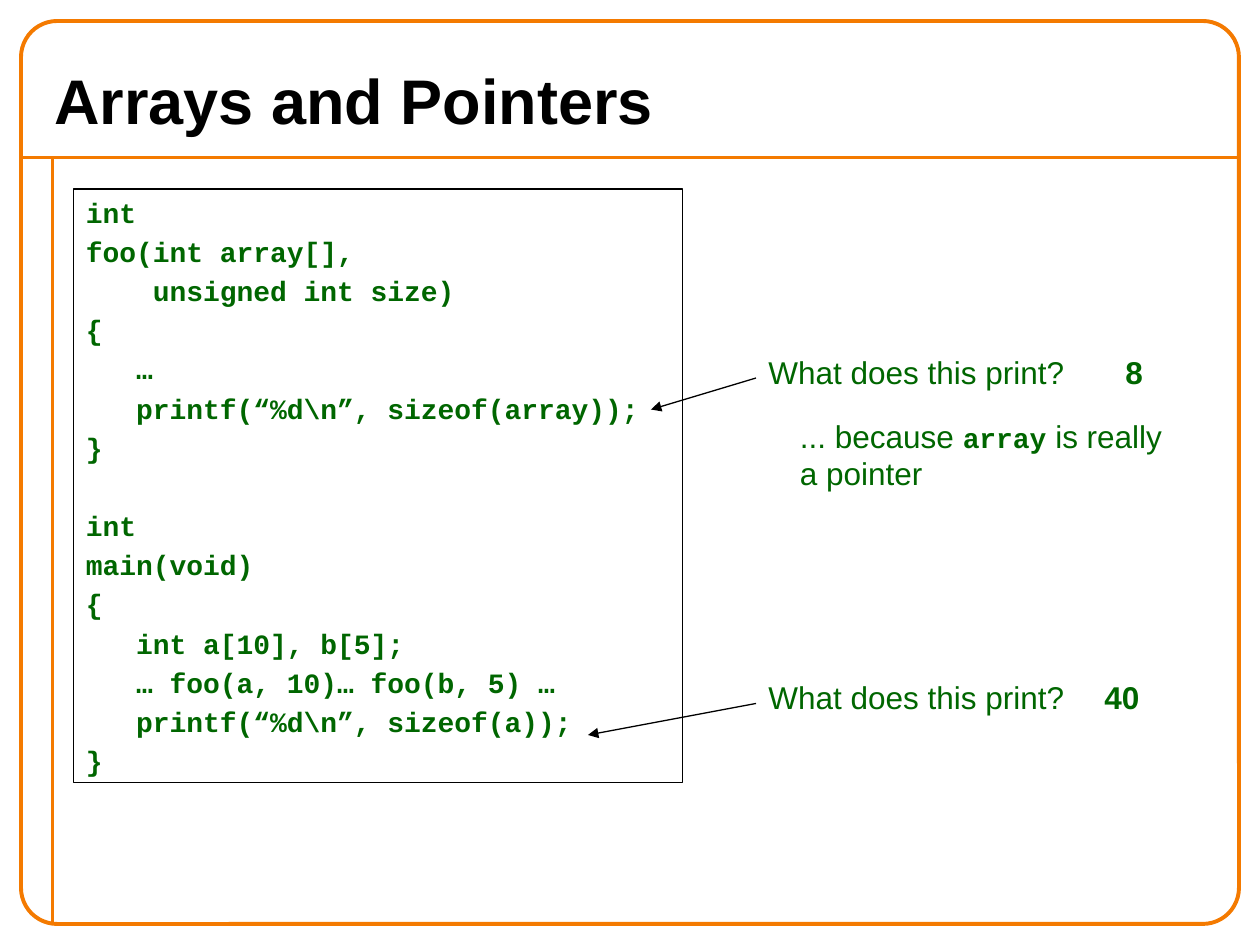
import pptx
import pptx.dml.color
import pptx.enum.shapes
import pptx.enum.text
import pptx.oxml
import pptx.oxml.ns
import pptx.util

Pt = pptx.util.Pt
SHAPES = pptx.enum.shapes.MSO_SHAPE
ANCHOR = pptx.enum.text.MSO_ANCHOR

COLORS = {"frame": "F47A00", "title": "000000", "text": "006600", "line": "000000"}
BODY_FONT = "Arial"
CODE_FONT = "Courier New"
CODE_LINE_GAP = 3.2
CODE_BLANK_LINE = 22.35

CODE_BLOCKS = [
    """int
foo(int array[],
    unsigned int size)
{
   …
   printf(“%d\\n”, sizeof(array));
}""",
    """int
main(void)
{
   int a[10], b[5];
   … foo(a, 10)… foo(b, 5) …
   printf(“%d\\n”, sizeof(a));
}""",
]


def rgb(name):
    return pptx.dml.color.RGBColor.from_string(COLORS[name])


def add_run(paragraph, text, font=BODY_FONT, size=18, bold=False, color="text"):
    run = paragraph.add_run()
    run.text = text
    run.font.name = font
    run.font.size = Pt(size)
    run.font.bold = bold
    run.font.color.rgb = rgb(color)


def add_text(slide, box, text, anchor=ANCHOR.TOP, wrap=False, **text_format):
    shape = slide.shapes.add_textbox(*map(Pt, box))
    frame = shape.text_frame
    frame.word_wrap = wrap
    frame.vertical_anchor = anchor
    add_run(frame.paragraphs[0], text, **text_format)
    return frame


def add_outline(slide, kind, box, color, width):
    shape = slide.shapes.add_shape(kind, *map(Pt, box))
    shape.shadow.inherit = False
    shape.fill.background()
    shape.line.color.rgb = rgb(color)
    shape.line.width = Pt(width)
    return shape


def add_line(slide, start, end, color, width, arrow=False):
    connector = slide.shapes.add_connector(
        pptx.enum.shapes.MSO_CONNECTOR.STRAIGHT, *map(Pt, start + end))
    connector.line.color.rgb = rgb(color)
    connector.line.width = Pt(width)
    if arrow:
        tail = pptx.oxml.parse_xml(
            f'<a:tailEnd {pptx.oxml.ns.nsdecls("a")} type="triangle"/>')
        connector.line._get_or_add_ln().append(tail)
    effects = pptx.oxml.parse_xml(f'<a:effectLst {pptx.oxml.ns.nsdecls("a")}/>')
    connector._element.spPr.append(effects)


def add_frame(slide, box):
    left, top, width, height = box
    rule_y, rule_x = top + 78, left + 18
    add_line(slide, (left, rule_y), (left + width, rule_y), "frame", 2.25)
    add_line(slide, (rule_x, rule_y), (rule_x, top + height), "frame", 2.25)
    border = add_outline(slide, SHAPES.ROUNDED_RECTANGLE, box, "frame", 2.25)
    border.adjustments[0] = 0.04


def add_code(slide, box):
    frame = add_outline(slide, SHAPES.RECTANGLE, box, "line", 0.75).text_frame
    frame.word_wrap = True
    frame.vertical_anchor = ANCHOR.TOP
    paragraph = frame.paragraphs[0]
    for block_index, block in enumerate(CODE_BLOCKS):
        for line_index, line in enumerate(block.splitlines()):
            if block_index or line_index:
                paragraph = frame.add_paragraph()
                # The second function starts one empty line below the first
                gap = CODE_LINE_GAP if line_index else CODE_LINE_GAP + CODE_BLANK_LINE
                paragraph.space_before = Pt(gap)
            paragraph.alignment = pptx.enum.text.PP_ALIGN.LEFT
            add_run(paragraph, line, font=CODE_FONT, size=16, bold=True)


def add_question(slide, box, answer, answer_offset, answer_width, arrow_offset):
    left, top, width, height = box
    start = (left, top + 18)
    end = (left + arrow_offset, top + 36)
    add_line(slide, start, end, "line", 0.75, arrow=True)
    add_text(slide, box, "What does this print?")
    add_text(slide, (left + answer_offset, top, answer_width, height), answer, bold=True)


def add_reason(slide, box):
    frame = add_text(slide, box, "... because ")
    first = frame.paragraphs[0]
    add_run(first, "array", font=CODE_FONT, size=16, bold=True)
    add_run(first, " is really")
    add_run(frame.add_paragraph(), "a pointer")


def main():
    presentation = pptx.Presentation()
    presentation.slide_width = Pt(720)
    presentation.slide_height = Pt(540)
    slide = presentation.slides.add_slide(presentation.slide_layouts[6])

    # Frame and title
    add_frame(slide, (12, 12, 696, 516))
    add_text(slide, (24, 30, 672, 54), "Arrays and Pointers", anchor=ANCHOR.MIDDLE,
             wrap=True, size=36, bold=True, color="title")

    # Code listing
    add_code(slide, (42, 108, 348, 339))

    # Questions with their answers
    add_question(slide, (432, 198, 185, 29), "8", 204, 25, -60)
    add_question(slide, (432, 384, 185, 29), "40", 192, 36, -96)
    add_reason(slide, (450, 234.5, 223, 50.5))

    presentation.save("out.pptx")


if __name__ == "__main__":
    main()
